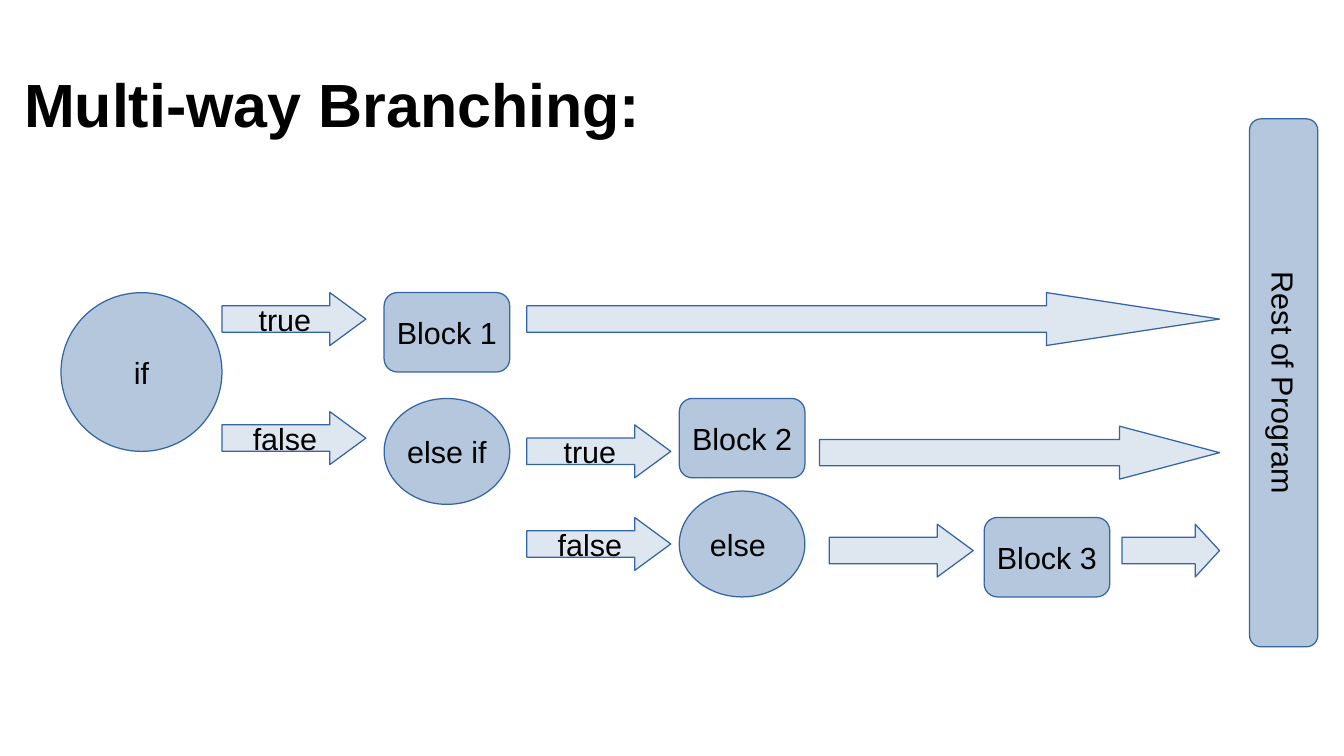
from pptx import Presentation
from pptx.dml.color import RGBColor
from pptx.enum.shapes import MSO_SHAPE
from pptx.enum.text import MSO_ANCHOR, PP_ALIGN
from pptx.util import Inches, Pt

ELLIPSE = MSO_SHAPE.OVAL
ROUNDED = MSO_SHAPE.ROUNDED_RECTANGLE
ARROW = MSO_SHAPE.RIGHT_ARROW
CENTER = PP_ALIGN.CENTER
MIDDLE = MSO_ANCHOR.MIDDLE

FONT = "Arial"
BLACK, NODE_FILL, ARROW_FILL, OUTLINE = "000000", "B4C7DC", "DEE6EF", "3465A4"

# Grid: the flow starts at TOP and falls in steps of ROW
TOP, ROW = 2.4, 0.1085
BRANCH_COLS = (1.82, 4.32, 6.8)   # left edges of the arrows
NODE_COLS = (3.15, 5.57, 8.07)    # left edges of blocks and conditions
NODE_W, BRANCH_W = 1.03, 1.18
BLOCK_ROWS, CONDITION_ROWS, ARROW_ROWS = 6, 8, 4
MERGE_X = 10.0                    # where the arrows to the rest end
HEAD_SHARE = 0.25                 # arrowhead as a share of arrow length


def color(hex_value):
    return RGBColor.from_string(hex_value)


def add_run(p, text, size, bold=False):
    r = p.add_run()
    r.text = text
    r.font.name = FONT
    r.font.size = Pt(size)
    r.font.bold = bold
    r.font.color.rgb = color(BLACK)


def add_title(s, text):
    tf = s.shapes.add_textbox(Inches(0.1), Inches(0.5), Inches(10.5), Inches(0.66)).text_frame
    tf.word_wrap = True
    add_run(tf.paragraphs[0], text, 36, bold=True)


def add_figure(s, kind, x, row, w, rows, fill, text=""):
    sp = s.shapes.add_shape(kind, Inches(x), Inches(TOP + row * ROW),
                            Inches(w), Inches(rows * ROW))
    sp.shadow.inherit = False
    sp.fill.solid()
    sp.fill.fore_color.rgb = color(fill)
    sp.line.color.rgb = color(OUTLINE)
    sp.line.width = Pt(0)
    if text:
        tf = sp.text_frame
        tf.word_wrap = False
        tf.vertical_anchor = MIDDLE
        p = tf.paragraphs[0]
        p.alignment = CENTER
        add_run(p, text, 18)
    return sp


def add_block(s, col, row, text):
    add_figure(s, ROUNDED, NODE_COLS[col], row, NODE_W, BLOCK_ROWS, NODE_FILL, text)


def add_condition(s, col, row, text):
    add_figure(s, ELLIPSE, NODE_COLS[col], row, NODE_W, CONDITION_ROWS, NODE_FILL, text)


def add_arrow(s, x, row, w, text=""):
    sp = add_figure(s, ARROW, x, row, w, ARROW_ROWS, ARROW_FILL, text)
    sp.adjustments[1] = HEAD_SHARE * w / (ARROW_ROWS * ROW)


def add_rest_of_program(s):
    length, thickness = 4.33, 0.56
    rows = thickness / ROW
    sp = add_figure(s, ROUNDED, 8.36, (2.86 - TOP) / ROW, length, rows,
                    NODE_FILL, "Rest of Program")
    sp.rotation = 90


def main():
    prs = Presentation()
    prs.slide_width, prs.slide_height = Inches(11.02), Inches(6.2)
    s = prs.slides.add_slide(prs.slide_layouts[6])
    add_title(s, "Multi-way Branching:")

    # Conditions
    add_figure(s, ELLIPSE, 0.5, 0, 1.32, 12, NODE_FILL, "if")
    add_condition(s, 0, 8, "else if")
    add_condition(s, 1, 15, "else ")

    # Branch arrows
    for col, row, text in ((0, 0, "true"), (0, 9, "false"),
                           (1, 10, "true"), (1, 17, "false"), (2, 17.5, "")):
        add_arrow(s, BRANCH_COLS[col], row, BRANCH_W, text)

    # Blocks
    for i, row in enumerate((0, 8, 17)):
        add_block(s, i, row, f"Block {i + 1}")

    # Arrows that lead to the rest of the program
    add_rest_of_program(s)
    for x, row in ((9.2, 17.5), (6.72, 10.1), (4.32, 0)):
        add_arrow(s, x, row, MERGE_X - x)

    prs.save("out.pptx")


if __name__ == "__main__":
    main()
